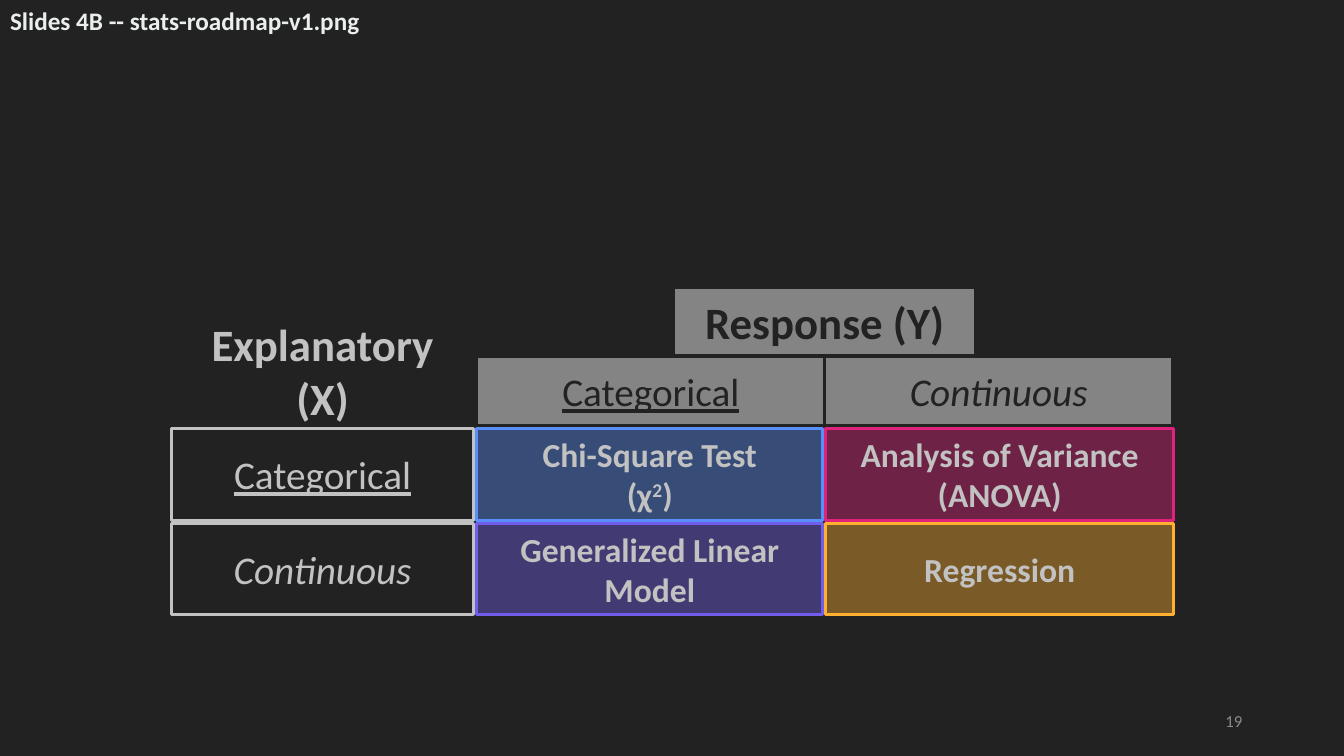
from pptx import Presentation
from pptx.dml.color import RGBColor
from pptx.enum.shapes import MSO_SHAPE as Shape
from pptx.enum.text import MSO_ANCHOR as Anchor, MSO_AUTO_SIZE as Fit, PP_ALIGN as Align
from pptx.util import Inches, Pt
from lxml.etree import SubElement
from pptx.oxml.ns import qn

DARK, PALE, GREY = "222222", "C2C2C2", "848484"

# Grid of the roadmap: (left, width) of columns, (top, height) of rows
COLS = [(1.7, 3), (4.73, 3.43), (8.19, 3.45)]
ROWS = [(4.25, 0.91), (5.19, 0.91)]
HEAD_LEFT, HEAD_TOP, HEAD_W, HEAD_H = 4.73, 3.54, 3.45, 0.68

KINDS = [("Categorical", {"underline": True}), ("Continuous", {"italic": True})]
TESTS = [
    [("Chi-Square Test\n(χ2)", "588FF9"), ("Analysis of Variance\n(ANOVA)", "DF227C")],
    [("Generalized Linear Model", "725EEC"), ("Regression", "FFB02F")],
]


def color(hex_code):
    return RGBColor.from_string(hex_code)


def write(frame, text, size, ink, align, anchor, **style):
    frame.text = text
    frame.word_wrap = True
    frame.auto_size = Fit.NONE
    frame.vertical_anchor = anchor
    for para in frame.paragraphs:
        para.alignment = align
        for run in para.runs:
            font = run.font
            font.name, font.size = "Calibri", Pt(size)
            font.color.rgb = color(ink)
            for key, value in style.items():
                setattr(font, key, value)


def add_box(group, place, text, size, ink, fill, line=None, alpha=None, **style):
    box = group.shapes.add_shape(Shape.RECTANGLE, *map(Inches, place))
    box.shadow.inherit = False
    box.fill.solid()
    box.fill.fore_color.rgb = color(fill)
    if alpha:
        tint = next(box.fill._xPr.iter(qn("a:srgbClr")))
        SubElement(tint, qn("a:alpha")).set("val", str(alpha * 1000))
    if line:
        box.line.color.rgb = color(line)
        box.line.width = Pt(2.25)
    else:
        box.line.fill.background()
    write(box.text_frame, text, size, ink, Align.CENTER, Anchor.MIDDLE, **style)
    return box


def raise_last(para, mark):
    """Split the last line around its mark and set the mark as superscript."""
    run = para.runs[0]
    before, after = run.text.split(mark)
    font = run.font
    run.text = before
    for part in (mark, after):
        extra = para.add_run()
        extra.text = part
        extra.font.name, extra.font.size = font.name, font.size
        extra.font.bold = font.bold
        extra.font.color.rgb = font.color.rgb
        if part == mark:
            extra._r.get_or_add_rPr().set("baseline", "30000")


def add_heads(group):
    # Explanatory side
    left, width = COLS[0]
    wide = 2.44
    add_box(group, (left + (width - wide) / 2, 3.12, wide, 1.11),
            "Explanatory\n(X)", 32, PALE, DARK, bold=True)
    for (top, high), (name, style) in zip(ROWS, KINDS):
        add_box(group, (left, top, width, high), name, 28, PALE, DARK, PALE, **style)

    # Response side
    for i, (name, style) in enumerate(KINDS):
        add_box(group, (HEAD_LEFT + i * HEAD_W, HEAD_TOP, HEAD_W, HEAD_H),
                name, 28, DARK, GREY, DARK, **style)
    wide = 3
    add_box(group, (HEAD_LEFT + HEAD_W - wide / 2, 2.85, wide, HEAD_H),
            "Response (Y)", 32, DARK, GREY, DARK, bold=True)


def add_tests(group):
    for (top, high), tests in zip(ROWS, TESTS):
        for (left, width), (name, hue) in zip(COLS[1:], tests):
            box = add_box(group, (left, top, width, high), name, 24, PALE,
                          hue, hue, alpha=40, bold=True)
            if "χ" in name:
                raise_last(box.text_frame.paragraphs[-1], "2")


def add_labels(slide):
    # Title
    title = slide.shapes.title
    title.left, title.top, title.width, title.height = map(Inches, (0, 0, 6.28, 0.4))
    write(title.text_frame, "Slides 4B -- stats-roadmap-v1.png", 18, "EBEEEE",
          Align.LEFT, Anchor.TOP, bold=True)

    # Page number
    page = slide.shapes.add_textbox(*map(Inches, (9.42, 6.95, 3, 0.4)))
    write(page.text_frame, "19", 12, "8C8C8C", Align.RIGHT, Anchor.MIDDLE)


def main():
    prs = Presentation()
    prs.slide_width, prs.slide_height = Inches(13.33), Inches(7.5)
    slide = prs.slides.add_slide(prs.slide_layouts[5])
    slide.background.fill.solid()
    slide.background.fill.fore_color.rgb = color(DARK)
    add_labels(slide)
    roadmap = slide.shapes.add_group_shape()
    add_heads(roadmap)
    add_tests(roadmap)
    prs.save("out.pptx")


if __name__ == "__main__":
    main()
